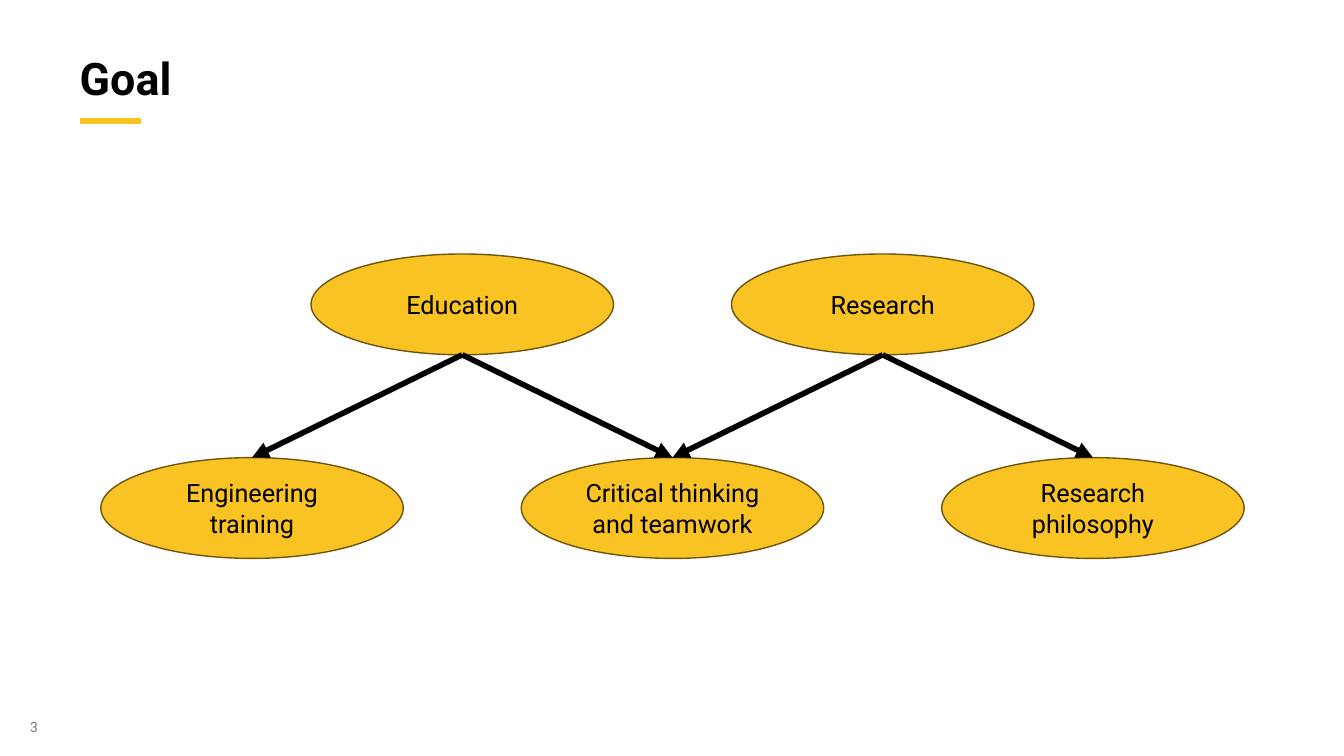
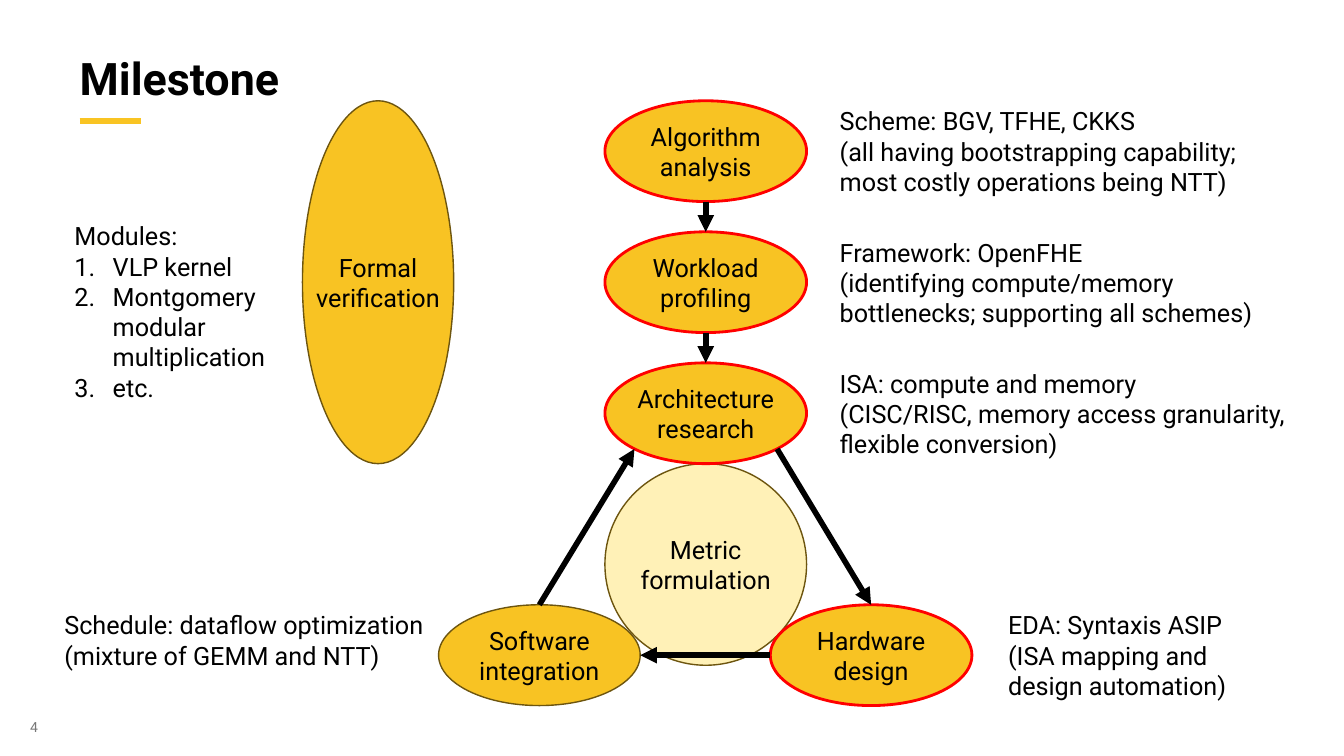
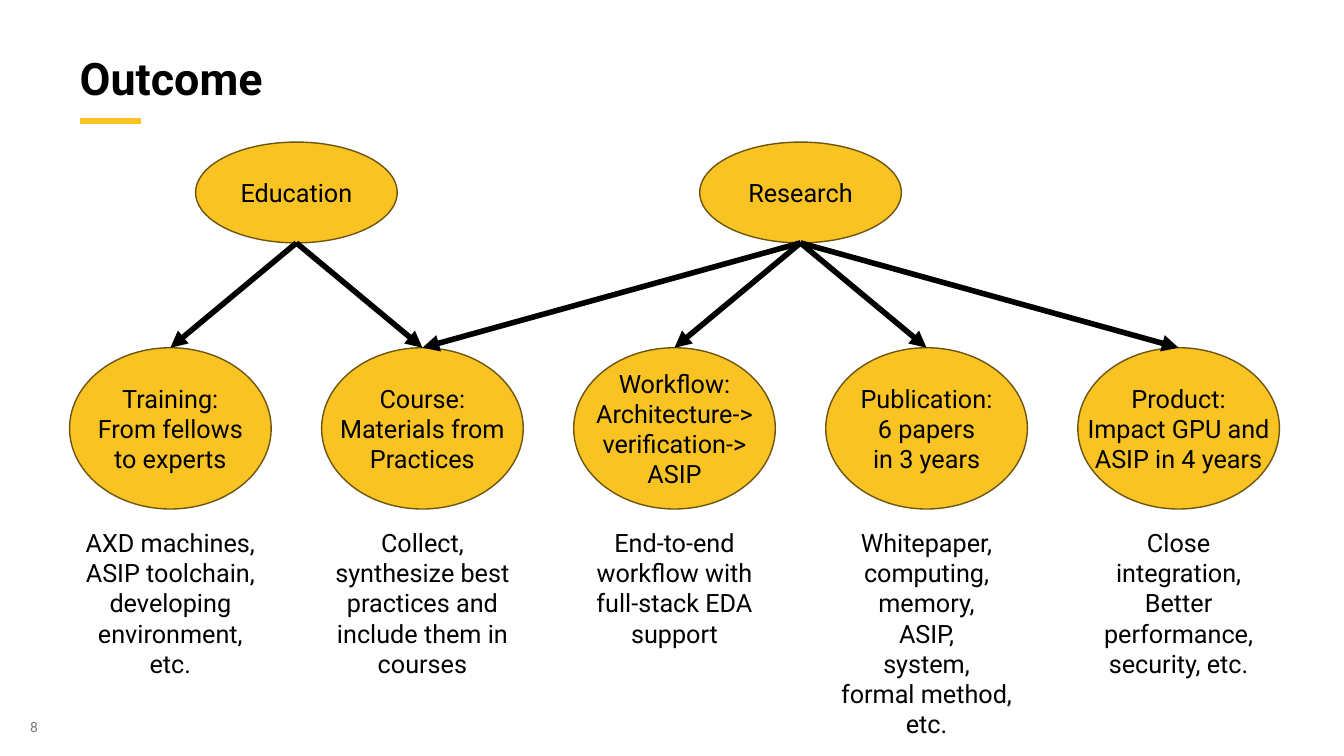
from math import cos, pi, sin

from pptx import Presentation
from pptx.dml.color import RGBColor
from pptx.enum.shapes import MSO_CONNECTOR, MSO_SHAPE
from pptx.enum.text import MSO_ANCHOR, MSO_AUTO_SIZE, PP_ALIGN
from pptx.oxml.ns import qn
from pptx.util import Inches, Pt
from lxml import etree

OVAL, LINE = MSO_SHAPE.OVAL, MSO_CONNECTOR.STRAIGHT
LEFT, CENTER = PP_ALIGN.LEFT, PP_ALIGN.CENTER
TOP, MIDDLE, BOTTOM = MSO_ANCHOR.TOP, MSO_ANCHOR.MIDDLE, MSO_ANCHOR.BOTTOM
NO_FIT = MSO_AUTO_SIZE.NONE

BLACK, GRAY, RED = "000000", "787878", "FF0000"
GOLD, PALE, BROWN, ACCENT = "F8C323", "FFF1B7", "6D550F", "F9C423"
BODY = {"name": "Roboto", "size": Pt(18), "bold": False}
HEAD = {**BODY, "size": Pt(32), "bold": True}
SMALL = {**BODY, "size": Pt(10)}
FLUSH = dict.fromkeys(
    ("margin_left", "margin_top", "margin_right", "margin_bottom"), 0)

# Connection sites of an ellipse, counted anticlockwise from the top
N, W, SW, S, SE, E = 0, 2, 3, 4, 5, 6


def rgb(code):
    return RGBColor.from_string(code)


def apply(target, values):
    for key, value in values.items():
        setattr(target, key, value)


def inches(box):
    return [Inches(v) for v in box]


def write(frame, text, font=BODY, color=BLACK, align=LEFT, **format):
    """Fill a text frame, one paragraph for each line of text."""
    apply(frame, {"word_wrap": True, "auto_size": NO_FIT, **format})
    frame.text = text
    for para in frame.paragraphs:
        para.alignment = align
        apply(para.font, font)
        para.font.color.rgb = rgb(color)


def note(slide, box, text, align=LEFT):
    frame = slide.shapes.add_textbox(*inches(box)).text_frame
    write(frame, text, align=align, vertical_anchor=TOP)
    return frame


def number(paras):
    """Turn paragraphs into an automatically numbered list."""
    for para in paras:
        props = para._p.get_or_add_pPr()
        props.set("marL", str(Inches(0.38)))
        props.set("indent", str(Inches(-0.38)))
        etree.SubElement(props, qn("a:buAutoNum"), type="arabicPeriod")


def oval(slide, box, text, fill=GOLD, edge=BROWN, width=1):
    shape = slide.shapes.add_shape(OVAL, *inches(box))
    shape.shadow.inherit = False
    shape.fill.solid()
    shape.fill.fore_color.rgb = rgb(fill)
    shape.line.color.rgb = rgb(edge)
    shape.line.width = Pt(width)
    write(shape.text_frame, text, align=CENTER, word_wrap=False,
          vertical_anchor=MIDDLE)
    return shape


def stroke(slide, start, end, color=BLACK):
    line = slide.shapes.add_connector(LINE, *start, *end)
    line.line.color.rgb = rgb(color)
    line.line.width = Pt(4)
    etree.SubElement(line._element.spPr, qn("a:effectLst"))
    return line


def site(shape, index):
    """Point on an ellipse at one of its eight connection sites."""
    angle = index * pi / 4
    x = shape.left + shape.width / 2 * (1 - sin(angle))
    y = shape.top + shape.height / 2 * (1 - cos(angle))
    return round(x), round(y)


def arrow(slide, start, out, end, into):
    """Join two ellipses; the sites exceed the four of begin_connect."""
    line = stroke(slide, site(start, out), site(end, into))
    etree.SubElement(line.line._get_or_add_ln(), qn("a:tailEnd"),
                     type="triangle")
    ends = line._element.nvCxnSpPr.cNvCxnSpPr
    for tag, shape, index in (("a:stCxn", start, out), ("a:endCxn", end, into)):
        etree.SubElement(ends, qn(tag), id=str(shape.shape_id), idx=str(index))


def page(deck, title, num):
    slide = deck.slides.add_slide(deck.slide_layouts[5])
    head = slide.shapes.title
    apply(head, dict(zip(("left", "top", "width", "height"),
                         inches((0.79, 0.2, 11.75, 0.84)))))
    write(head.text_frame, title, HEAD, vertical_anchor=BOTTOM, **FLUSH)
    stroke(slide, inches((0.79, 1.2)), inches((1.4, 1.2)), ACCENT)
    foot = slide.shapes.add_textbox(*inches((0.3, 7.13, 1, 0.17)))
    write(foot.text_frame, str(num), SMALL, GRAY, **FLUSH)
    return slide


def tree(slide, box, step, size, top, roots, leaves):
    """Row of leaves, with each root centred above the leaves it points to."""
    left, upper, lower = box
    width, height = size
    kids = [oval(slide, (left + i * step, lower, width, height), text)
            for i, text in enumerate(leaves)]
    for text, links in roots:
        mid = left + step * sum(links) / len(links)
        root = oval(slide, (mid, upper, width, top), text)
        for i in links:
            arrow(slide, root, S, kids[i], N)


def goal(deck):
    slide = page(deck, "Goal", 3)
    tree(slide, (1, 2.52, 4.54), 4.17, (3, 1), 1,
         [("Education", (0, 1)), ("Research", (1, 2))],
         ["Engineering\ntraining", "Critical thinking\nand teamwork",
          "Research\nphilosophy"])


def flow(slide, left, top):
    """Column of three steps that ends in a cycle around the metric."""
    oval(slide, (left, top + 3.6, 2, 2), "Metric\nformulation", PALE)
    steps = [oval(slide, (left, top + 1.3 * i, 2, 1), text, GOLD, RED, 2)
             for i, text in enumerate(("Algorithm\nanalysis",
                                       "Workload\nprofiling",
                                       "Architecture\nresearch"))]
    hard = oval(slide, (left + 1.64, top + 5, 2, 1), "Hardware\ndesign",
                GOLD, RED, 2)
    soft = oval(slide, (left - 1.65, top + 5, 2, 1), "Software\nintegration")
    for first, second in zip(steps, steps[1:]):
        arrow(slide, first, S, second, N)
    arrow(slide, steps[-1], SE, hard, N)
    arrow(slide, hard, W, soft, E)
    arrow(slide, soft, N, steps[-1], SW)


def milestone(deck):
    slide = page(deck, "Milestone", 4)
    flow(slide, 6, 1)
    remarks = (
        "Scheme: BGV, TFHE, CKKS\n(all having bootstrapping capability; "
        "most costly operations being NTT)",
        "Framework: OpenFHE\n(identifying compute/memory bottlenecks; "
        "supporting all schemes)",
        "ISA: compute and memory\n(CISC/RISC, memory access granularity, "
        "flexible conversion)")
    for i, text in enumerate(remarks):
        note(slide, (8.23, 1 + 1.3 * i, 4.74, 1.01), text)
    note(slide, (9.9, 6, 2.97, 1.01),
         "EDA: Syntaxis ASIP\n(ISA mapping and design automation)")
    note(slide, (0.54, 6, 3.86, 0.71),
         "Schedule: dataflow optimization\n(mixture of GEMM and NTT)")
    oval(slide, (3, 1, 1.5, 3.6), "Formal\nverification")
    parts = note(slide, (0.64, 2.14, 2.36, 1.92),
                 "Modules:\nVLP kernel\n"
                 "Montgomery modular multiplication\netc.")
    number(parts.paragraphs[1:])


def outcome(deck):
    slide = page(deck, "Outcome", 8)
    left, step = 0.69, 2.5
    results = (
        ("Training:\nFrom fellows\nto experts",
         "AXD machines, ASIP toolchain, developing environment, etc."),
        ("Course:\nMaterials from\nPractices",
         "Collect, synthesize best practices and include them in courses"),
        ("Workflow:\nArchitecture->\nverification->\nASIP",
         "End-to-end workflow with full-stack EDA support"),
        ("Publication:\n6 papers\nin 3 years",
         "Whitepaper,\ncomputing,\nmemory,\nASIP,\nsystem,\n"
         "formal method,\netc."),
        ("Product:\nImpact GPU and\nASIP in 4 years",
         "Close integration,\nBetter performance, security, etc."))
    tree(slide, (left, 1.41, 3.45), step, (2, 1.6), 1,
         [("Education", (0, 1)), ("Research", (1, 2, 3, 4))],
         [name for name, _ in results])
    for i, (_, text) in enumerate(results):
        note(slide, (left + i * step, 5.18, 2, 2.22), text, CENTER)


def main():
    deck = Presentation()
    deck.slide_width, deck.slide_height = inches((13.33, 7.5))
    for build in (goal, milestone, outcome):
        build(deck)
    deck.save("out.pptx")


if __name__ == "__main__":
    main()
